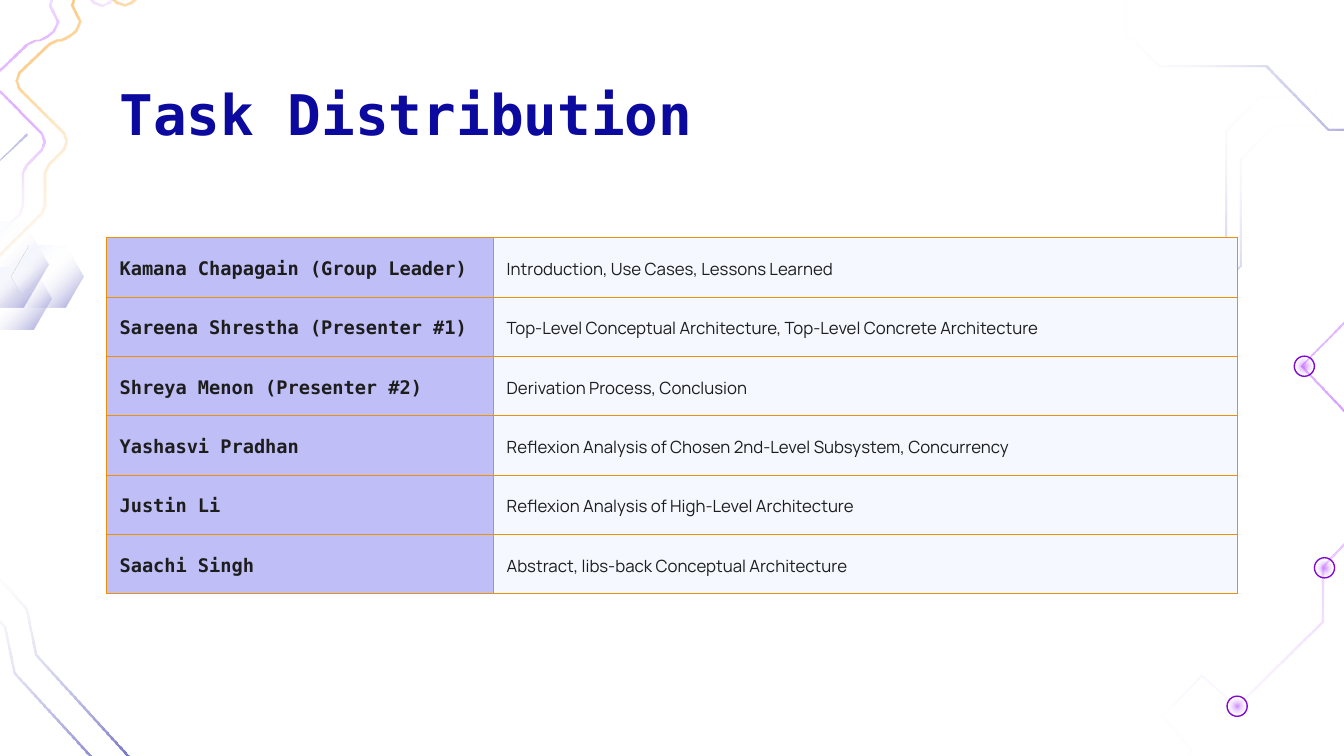
import math
import pptx
import pptx.dml.color
import pptx.enum.shapes
import pptx.enum.text
import pptx.oxml
import pptx.oxml.ns
import pptx.util

Inches = pptx.util.Inches
Pt = pptx.util.Pt
NAVY, AMBER, VIOLET, PALE = "0C0A9E", "EB9109", "9900FF", "F5F8FF"


def colour(value):
    return pptx.dml.color.RGBColor.from_string(value)


def fade(shape, stops, angle):
    shape.shadow.inherit = False
    shape.line.fill.background()
    shape.fill.gradient()
    gradient = shape.fill._xPr.find(pptx.oxml.ns.qn("a:gradFill"))
    for child in list(gradient):
        gradient.remove(child)
    marks = "".join(
        f'<a:gs pos="{place * 1000}"><a:srgbClr val="{colour(value)}">'
        f'<a:alpha val="{alpha * 1000}"/></a:srgbClr></a:gs>'
        for place, value, alpha in stops)
    if angle is None:
        direction = ('<a:path path="circle"><a:fillToRect l="50000" t="50000" '
                     'r="50000" b="50000"/></a:path>')
    else:
        direction = f'<a:lin ang="{angle * 60000}" scaled="0"/>'
    source = pptx.oxml.parse_xml(
        f'<a:gradFill {pptx.oxml.ns.nsdecls("a")}><a:gsLst>{marks}</a:gsLst>'
        f'{direction}</a:gradFill>')
    gradient.extend(list(source))


deck = pptx.Presentation()
deck.slide_width = Inches(10)
deck.slide_height = Inches(10) * 9 // 16
page = deck.slides.add_slide(deck.slide_layouts[6])

clear = (100, "FFFFFF", 0)
navy_fade = [(0, NAVY, 100), clear]
violet_fade = [(0, VIOLET, 47), clear]
amber_fade = [(0, AMBER, 100), (40, "FF9900", 41), clear]
slate_fade = [(0, NAVY, 37), clear]
hexagon_fade = [(0, PALE, 100), (22, PALE, 100), (45, "FFFFFF", 0), (100, NAVY, 50)]

right_trace = [(8.36, 3.9), (8.76, 3.5), (8.76, 2.44), (9.23, 1.98),
               (9.23, 1.19), (9.48, 0.94), (9.9, 0.94), (9.9, 0.81)]
top_trace = [(11.35, 1.36), (10.94, 0.96), (9.88, 0.96), (9.42, 0.49),
             (8.63, 0.49), (8.38, 0.25), (8.38, -0.18), (8.25, -0.18)]
corner_trace = [(1.18, 6.25), (1.09, 5.77), (0.27, 4.87), (0.2, 4.53), (-0.16, 4.13)]
node_trace = [(12.07, 0.3), (11.46, 0.93), (11.78, 1.28), (10.7, 2.36),
              (10.35, 2.04), (9.68, 2.72), (10.47, 3.55), (9.84, 4.21),
              (9.84, 4.62), (9.2, 5.25), (8.94, 5.02), (8.65, 5.32),
              (8.87, 5.58), (8.78, 5.72), (8.87, 5.85), (8.81, 5.87)]
wave_trace = [(0.58, -0.63), (1.05, -0.15), (1.06, -0.1), (1.05, -0.04),
              (0.98, 0.02), (0.93, 0.04), (0.87, 0.02), (0.76, -0.09),
              (0.69, -0.12), (0.63, -0.09), (0.56, -0.02), (0.54, 0.04),
              (0.57, 0.1), (0.6, 0.16), (0.57, 0.23), (0.52, 0.27),
              (0.46, 0.3), (0.43, 0.3), (0.37, 0.33), (0.15, 0.54),
              (0.13, 0.6), (0.15, 0.66), (0.48, 0.99), (0.5, 1.05),
              (0.48, 1.11), (0.37, 1.22), (0.34, 1.28), (0.34, 1.52),
              (0.32, 1.58), (0, 1.9)]
stub_trace = [(0.2, 0.99), (-0.1, 1.28), (-0.1, 0.71), (-0.32, 0.71), (-0.32, 0.19)]

traces = [
    (right_trace, 0, 0, navy_fade, 270),
    (right_trace, -0.11, -0.22, navy_fade, 270),
    (top_trace, 0, 0, navy_fade, 180),
    (node_trace, 0, 0, violet_fade, None),
    (corner_trace, 0, 0, navy_fade, 228),
    (corner_trace, -0.16, 0.14, navy_fade, 228),
    (wave_trace, 0, 0, amber_fade, 45),
    (wave_trace, -0.17, 0, violet_fade, None),
    (stub_trace, 0, 0, slate_fade, 225),
]
half_width = 0.01
for points, right, down, stops, angle in traces:
    near, far = [], []
    for index, (x, y) in enumerate(points):
        before = points[max(index - 1, 0)]
        after = points[min(index + 1, len(points) - 1)]
        heading = math.atan2(after[1] - before[1], after[0] - before[0])
        shift_x = half_width * math.sin(heading)
        shift_y = half_width * math.cos(heading)
        near.append((Inches(x + right - shift_x), Inches(y + down + shift_y)))
        far.append((Inches(x + right + shift_x), Inches(y + down - shift_y)))
    builder = page.shapes.build_freeform(*near[0])
    builder.add_line_segments(near[1:] + far[::-1])
    fade(builder.convert_to_shape(), stops, angle)

for left, top, width, height in [(-0.38, 1.65, 0.74, 0.64),
                                 (-0.15, 1.99, 0.53, 0.46),
                                 (0.09, 1.83, 0.53, 0.46)]:
    corners = [(0.25, 1), (0, 0.5), (0.25, 0), (0.75, 0), (1, 0.5), (0.75, 1)]
    corners = [(Inches(left + x * width), Inches(top + y * height)) for x, y in corners]
    builder = page.shapes.build_freeform(*corners[0])
    builder.add_line_segments(corners[1:])
    fade(builder.convert_to_shape(), hexagon_fade, 45)

oval = pptx.enum.shapes.MSO_SHAPE.OVAL
for left, top in [(9.13, 5.18), (9.78, 4.15), (9.63, 2.65)]:
    ring = page.shapes.add_shape(oval, Inches(left), Inches(top), Inches(0.15), Inches(0.15))
    ring.shadow.inherit = False
    ring.fill.background()
    ring.line.color.rgb = colour("8208D5")
    ring.line.width = Pt(0.75)
    glow = page.shapes.add_shape(
        oval, Inches(left + 0.02), Inches(top + 0.02), Inches(0.11), Inches(0.11))
    fade(glow, violet_fade, None)

title = page.shapes.add_textbox(Inches(0.79), Inches(0.49), Inches(8.43), Inches(0.63))
title.text_frame.word_wrap = True
title.text_frame.margin_top = title.text_frame.margin_bottom = Inches(0.1)
title.text_frame.text = "Task Distribution"
font = title.text_frame.paragraphs[0].runs[0].font
font.name = "DejaVu Sans Mono"
font.size = Pt(30)
font.bold = True
font.color.rgb = colour(NAVY)

tasks = [
    ("Kamana Chapagain (Group Leader)", "Introduction, Use Cases, Lessons Learned"),
    ("Sareena Shrestha (Presenter #1)",
     "Top-Level Conceptual Architecture, Top-Level Concrete Architecture"),
    ("Shreya Menon (Presenter #2)", "Derivation Process, Conclusion"),
    ("Yashasvi Pradhan", "Reflexion Analysis of Chosen 2nd-Level Subsystem, Concurrency"),
    ("Justin Li", "Reflexion Analysis of High-Level Architecture"),
    ("Saachi Singh", "Abstract, libs-back Conceptual Architecture"),
]
columns = [(2.88, "BFBEF7", "DejaVu Sans Mono", 10, True),
           (5.54, PALE, "Manrope", 9, False)]
table = page.shapes.add_table(
    len(tasks), 2, Inches(0.79), Inches(1.77), Inches(8.42), Inches(2.65)).table
table.first_row = False
table.horz_banding = False
for column, (width, fill, typeface, size, bold) in enumerate(columns):
    table.columns[column].width = Inches(width)
    for row, task in enumerate(tasks):
        cell = table.cell(row, column)
        cell.fill.solid()
        cell.fill.fore_color.rgb = colour(fill)
        cell.vertical_anchor = pptx.enum.text.MSO_ANCHOR.MIDDLE
        cell.margin_top = cell.margin_bottom = 0
        cell.margin_left = cell.margin_right = Inches(0.1)
        cell.text_frame.text = task[column]
        para = cell.text_frame.paragraphs[0]
        para.line_spacing = 1.15
        font = para.runs[0].font
        font.name = typeface
        font.size = Pt(size)
        font.bold = bold
        font.color.rgb = colour("1D1D1D")
        for place, side in enumerate("LRTB"):
            border = pptx.oxml.parse_xml(
                f'<a:ln{side} {pptx.oxml.ns.nsdecls("a")} w="{Pt(0.75)}"><a:solidFill>'
                f'<a:srgbClr val="{colour(AMBER)}"/></a:solidFill></a:ln{side}>')
            cell._tc.get_or_add_tcPr().insert(place, border)

deck.save("out.pptx")
